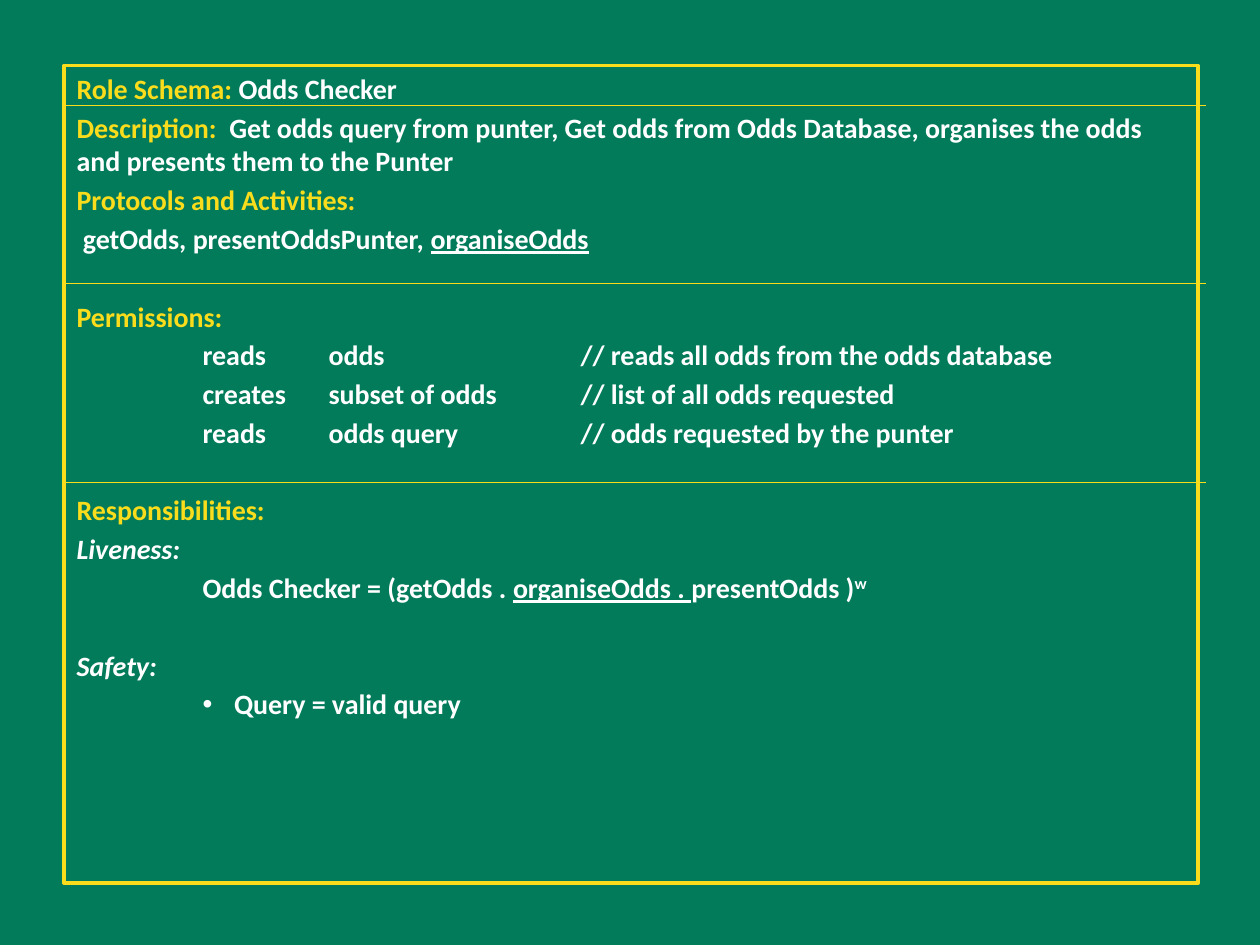
from lxml import etree
from pptx import Presentation
from pptx.dml.color import RGBColor
from pptx.enum.shapes import MSO_CONNECTOR, MSO_SHAPE
from pptx.enum.text import MSO_ANCHOR, PP_ALIGN
from pptx.oxml.ns import qn
from pptx.util import Inches, Pt

GREEN, YELLOW, WHITE = "027B5B", "F9DC1C", "FFFFFF"
FONT, SIZE = "Calibri", 16
LINE_GAP = 2.9       # points before each paragraph
SECTION_GAP = 25.3   # points before a new section
TAB_STOPS = (1, 2, 4)

HEADING = {"color": YELLOW}
PLAIN = {}
ITALIC = {"italic": True}
UNDERLINED = {"underline": True}
RAISED = {"baseline": 30}

# Each paragraph: space before, bulleted, runs of (text, format)
SCHEMA = [
    (0, False, [("Role Schema: ", HEADING), ("Odds Checker", PLAIN)]),
    (LINE_GAP, False, [
        ("Description:  ", HEADING),
        ("Get odds query from punter, Get odds from Odds Database, "
         "organises the odds and presents them to the Punter", PLAIN)]),
    (LINE_GAP, False, [("Protocols and Activities:", HEADING)]),
    (LINE_GAP, False, [(" getOdds, presentOddsPunter, ", PLAIN),
                       ("organiseOdds", UNDERLINED)]),
    (SECTION_GAP, False, [("Permissions:", HEADING)]),
    (LINE_GAP, False, [("\treads\todds\t// reads all odds from the odds database", PLAIN)]),
    (LINE_GAP, False, [("\tcreates\tsubset of odds\t// list of all odds requested", PLAIN)]),
    (LINE_GAP, False, [("\treads\todds query\t// odds requested by the punter", PLAIN)]),
    (SECTION_GAP, False, [("Responsibilities:", HEADING)]),
    (LINE_GAP, False, [("Liveness:", ITALIC)]),
    (LINE_GAP, False, [("\tOdds Checker = (getOdds . ", PLAIN),
                       ("organiseOdds . ", UNDERLINED),
                       ("presentOdds )", PLAIN), ("w", RAISED)]),
    (SECTION_GAP, False, [("Safety:", ITALIC)]),
    (LINE_GAP, True, [("Query = valid query", PLAIN)]),
]

LEFT, TOP, WIDTH, HEIGHT = 0.51, 0.52, 9, 6.49
RULE_RIGHT = 9.57
RULE_TOPS = (0.84, 2.25, 3.83)


def rgb(value):
    return RGBColor.from_string(value)


def add_text(paragraph, text, color=WHITE, italic=False, underline=False, baseline=0):
    run = paragraph.add_run()
    run.text = text
    font = run.font
    font.name, font.size, font.bold = FONT, Pt(SIZE), True
    font.italic, font.underline = italic, underline
    font.color.rgb = rgb(color)
    if baseline:
        run._r.get_or_add_rPr().set("baseline", str(baseline * 1000))


def add_bullet(paragraph):
    properties = paragraph._p.get_or_add_pPr()
    properties.set("marL", str(Inches(1.25)))
    properties.set("indent", str(Inches(-0.25)))
    etree.SubElement(properties, qn("a:buFont")).set("typeface", "Arial")
    etree.SubElement(properties, qn("a:buChar")).set("char", "•")


def add_tab_stops(paragraph):
    tabs = etree.SubElement(paragraph._p.get_or_add_pPr(), qn("a:tabLst"))
    for stop in TAB_STOPS:
        etree.SubElement(tabs, qn("a:tab"), pos=str(Inches(stop)), algn="l")


def add_schema(slide):
    panel = slide.shapes.add_shape(
        MSO_SHAPE.RECTANGLE, Inches(LEFT), Inches(TOP), Inches(WIDTH), Inches(HEIGHT))
    panel.shadow.inherit = False
    panel.fill.solid()
    panel.fill.fore_color.rgb = rgb(GREEN)
    panel.line.color.rgb = rgb(YELLOW)
    panel.line.width = Pt(2)
    frame = panel.text_frame
    frame.word_wrap = True
    frame.vertical_anchor = MSO_ANCHOR.TOP
    for index, (gap, bulleted, runs) in enumerate(SCHEMA):
        paragraph = frame.paragraphs[0] if index == 0 else frame.add_paragraph()
        if bulleted:
            add_bullet(paragraph)
        elif runs[0][0].startswith("\t"):
            add_tab_stops(paragraph)
        paragraph.alignment = PP_ALIGN.LEFT
        paragraph.space_before = Pt(gap)
        for text, style in runs:
            add_text(paragraph, text, **style)


def add_rule(slide, top):
    rule = slide.shapes.add_connector(
        MSO_CONNECTOR.STRAIGHT, Inches(LEFT), Inches(top), Inches(RULE_RIGHT), Inches(top))
    rule.line.color.rgb = rgb(YELLOW)
    rule.line.width = Pt(0.75)
    etree.SubElement(rule._element.spPr, qn("a:effectLst"))


def main():
    deck = Presentation()
    deck.slide_width, deck.slide_height = Inches(10), Inches(7.5)
    slide = deck.slides.add_slide(deck.slide_layouts[6])
    slide.background.fill.solid()
    slide.background.fill.fore_color.rgb = rgb(GREEN)
    add_schema(slide)
    for top in RULE_TOPS:
        add_rule(slide, top)
    deck.save("out.pptx")


if __name__ == "__main__":
    main()
